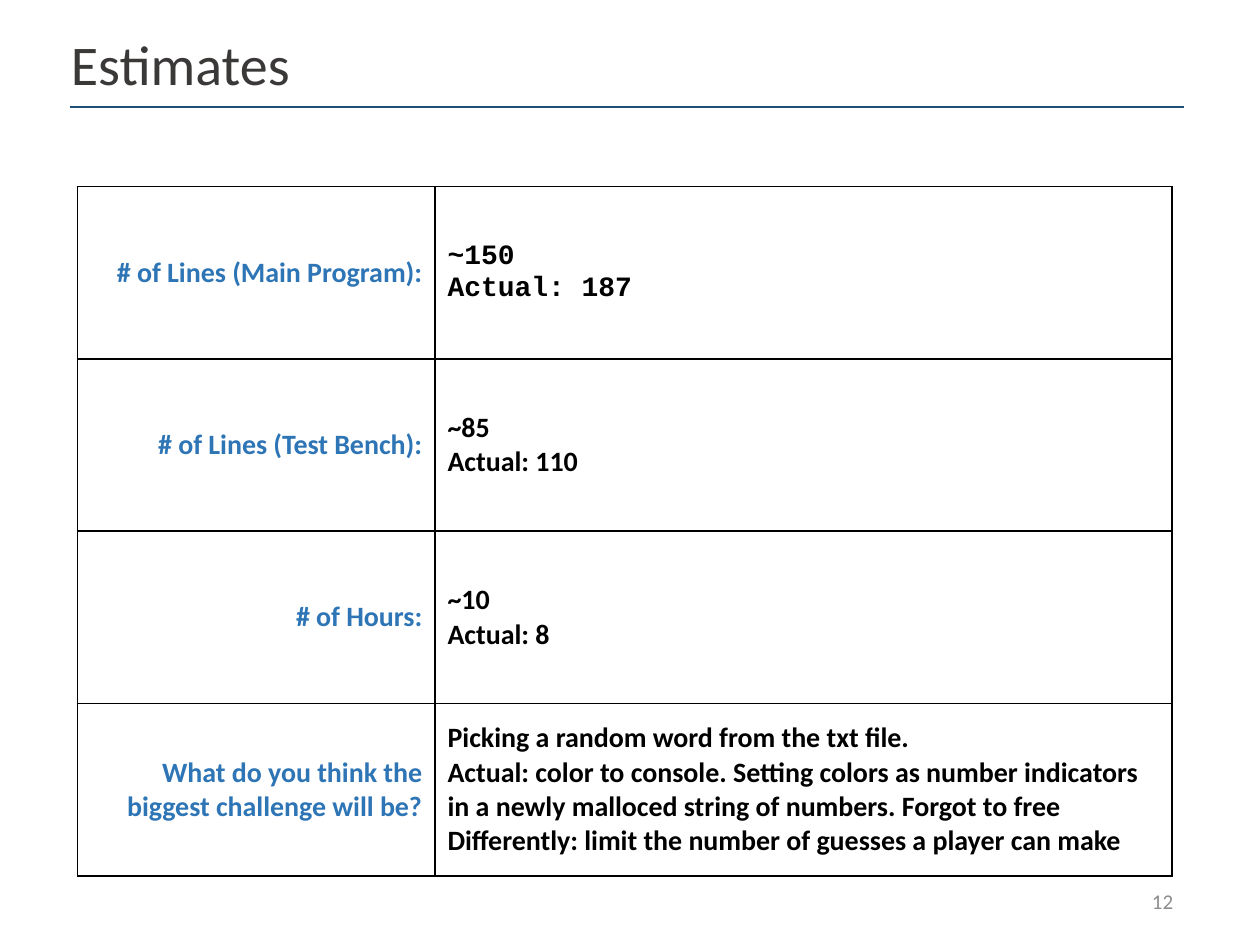
import pptx
import pptx.dml.color
import pptx.enum.shapes
import pptx.enum.text
import pptx.oxml
import pptx.oxml.ns
import pptx.util

Pt = pptx.util.Pt
ALIGN = pptx.enum.text.PP_ALIGN
MIDDLE = pptx.enum.text.MSO_ANCHOR.MIDDLE

TITLE = "Estimates"
PAGE_NUMBER = "12"
# question, answer lines, answer font
ESTIMATES = [
    ("# of Lines (Main Program):", ["~150", "Actual: 187"], "Courier New"),
    ("# of Lines (Test Bench):", ["~85", "Actual: 110"], "Calibri"),
    ("# of Hours:", ["~10", "Actual: 8"], "Calibri"),
    ("What do you think the biggest challenge will be?",
     ["Picking a random word from the txt file.",
      "Actual: color to console. Setting colors as number indicators "
      "in a newly malloced string of numbers. Forgot to free",
      "Differently: limit the number of guesses a player can make"],
     "Calibri"),
]

TITLE_FORMAT = {"size": Pt(32), "name": "Calibri", "color": "3B3838"}
NUMBER_FORMAT = {"size": Pt(12), "name": "Calibri", "color": "8C8C8C"}
QUESTION_FORMAT = {"size": Pt(16), "name": "Calibri", "bold": True, "color": "2E75B6"}
ANSWER_FORMAT = {"size": Pt(16), "bold": True, "color": "000000"}

TABLE_LEFT, TABLE_TOP = 44.2, 106.6
COLUMN_WIDTHS = [204.4, 421.2]
ROW_HEIGHT = 98.5


def rgb(value):
    return pptx.dml.color.RGBColor.from_string(value)


def write(tf, lines, formats, align=ALIGN.LEFT, spacing=None):
    for i, line in enumerate(lines):
        p = tf.paragraphs[0] if i == 0 else tf.add_paragraph()
        p.alignment = align
        p.line_spacing = spacing
        r = p.add_run()
        r.text = line
        for name, value in formats.items():
            if name == "color":
                r.font.color.rgb = rgb(value)
            else:
                setattr(r.font, name, value)


def add_text(s, box, text, formats, **options):
    tf = s.shapes.add_textbox(*map(Pt, box)).text_frame
    tf.word_wrap = True
    tf.vertical_anchor = MIDDLE
    write(tf, [text], formats, **options)


def add_borders(cell, color="000000", width=Pt(1)):
    tc_pr = cell._tc.get_or_add_tcPr()
    for i, side in enumerate(("lnL", "lnR", "lnT", "lnB")):
        tc_pr.insert(i, pptx.oxml.parse_xml(
            f'<a:{side} {pptx.oxml.ns.nsdecls("a")} w="{width}"><a:solidFill>'
            f'<a:srgbClr val="{color}"/></a:solidFill></a:{side}>'))


def add_rule(s, left, right, y):
    line = s.shapes.add_connector(
        pptx.enum.shapes.MSO_CONNECTOR.STRAIGHT, Pt(left), Pt(y), Pt(right), Pt(y))
    line.line.color.rgb = rgb("1F4E79")
    line.line.width = Pt(1)
    line._element.spPr.append(
        pptx.oxml.parse_xml(f'<a:effectLst {pptx.oxml.ns.nsdecls("a")}/>'))


def add_estimates(s):
    table = s.shapes.add_table(
        len(ESTIMATES), len(COLUMN_WIDTHS), Pt(TABLE_LEFT), Pt(TABLE_TOP),
        Pt(sum(COLUMN_WIDTHS)), Pt(ROW_HEIGHT * len(ESTIMATES))).table
    table.first_row = table.horz_banding = False
    for column, width in zip(table.columns, COLUMN_WIDTHS):
        column.width = Pt(width)
    for row, (question, answer, font) in zip(table.rows, ESTIMATES):
        row.height = Pt(ROW_HEIGHT)
        for cell in row.cells:
            cell.vertical_anchor = MIDDLE
            cell.fill.background()
            add_borders(cell)
        left, right = row.cells
        write(left.text_frame, [question], QUESTION_FORMAT, ALIGN.RIGHT)
        write(right.text_frame, answer, {**ANSWER_FORMAT, "name": font})


prs = pptx.Presentation()
prs.slide_width, prs.slide_height = Pt(720), Pt(540)
s = prs.slides.add_slide(prs.slide_layouts[6])
add_rule(s, 40.3, 676.8, 61.2)
add_text(s, (33.4, 16.6, 644.4, 43.9), TITLE, TITLE_FORMAT, spacing=0.9)
add_text(s, (87.1, 500.4, 590.4, 28.8), PAGE_NUMBER, NUMBER_FORMAT, align=ALIGN.RIGHT)
add_estimates(s)
prs.save("out.pptx")
